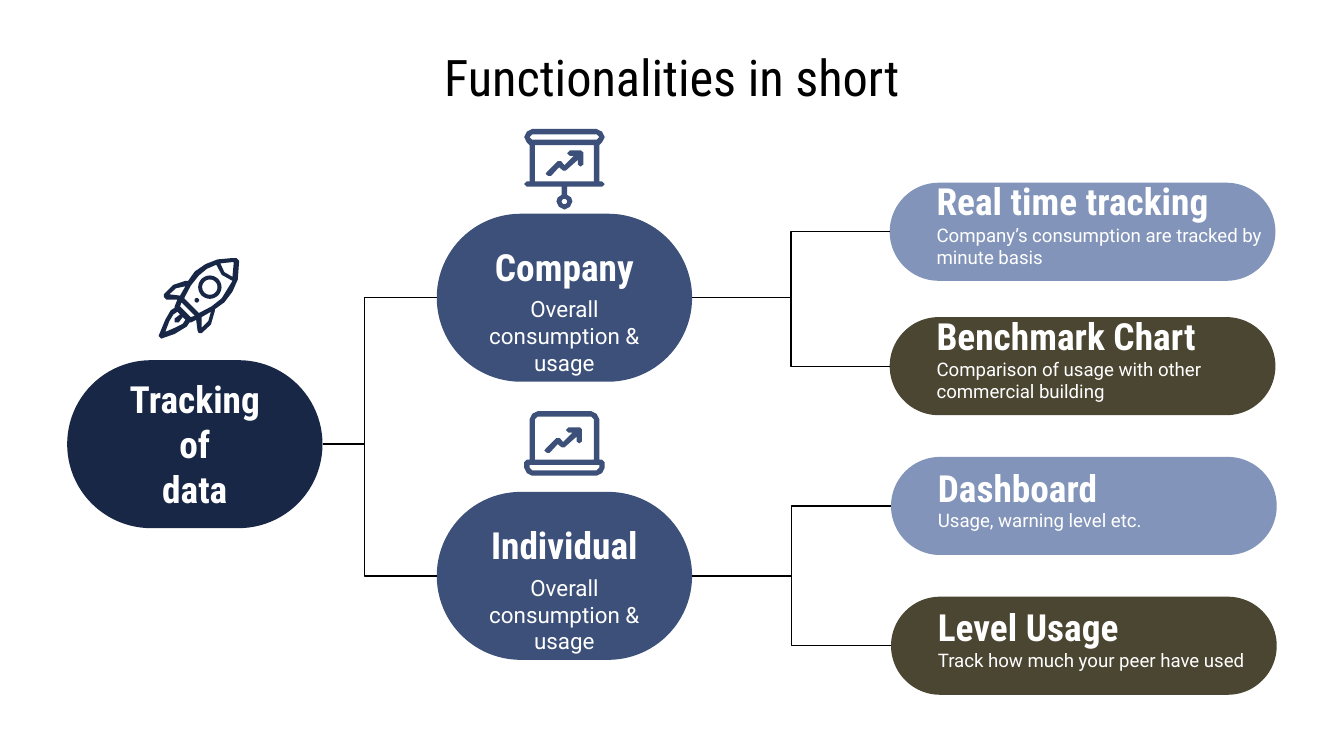
from math import cos, pi, sin

from lxml import etree
from pptx import Presentation
from pptx.dml.color import RGBColor
from pptx.enum.shapes import MSO_CONNECTOR, MSO_SHAPE
from pptx.enum.text import MSO_ANCHOR, MSO_AUTO_SIZE, PP_ALIGN
from pptx.oxml.ns import qn
from pptx.util import Inches, Pt

ELBOW = MSO_CONNECTOR.ELBOW
PILL = MSO_SHAPE.ROUNDED_RECTANGLE
LEFT, CENTER = PP_ALIGN.LEFT, PP_ALIGN.CENTER
LEFT_SIDE, RIGHT_SIDE = 1, 3

COLORS = {"black": "000000", "white": "FFFFFF", "navy": "182746",
          "blue": "3C5079", "sky": "8294B9", "olive": "4B4632"}
FONTS = {
    "title": {"name": "Roboto Condensed", "size": Pt(27), "bold": False},
    "heading": {"name": "Roboto Condensed", "size": Pt(20), "bold": True},
    "summary": {"name": "Roboto", "size": Pt(12), "bold": False},
    "detail": {"name": "Roboto", "size": Pt(10), "bold": False},
}
FRAME = {"word_wrap": True, "auto_size": MSO_AUTO_SIZE.NONE,
         "vertical_anchor": MSO_ANCHOR.MIDDLE,
         "margin_left": Inches(0.1), "margin_right": Inches(0.1),
         "margin_top": Inches(0.1), "margin_bottom": Inches(0.1)}

BRANCH_SIZE = (1.9, 1.25)
LEAF_SIZE = (2.87, 0.73)
BRANCHES = [
    (1.59, "Company", [
        (6.62, 1.36, 0.04, "sky", "Real time tracking",
         "Company’s consumption are tracked by minute basis"),
        (6.62, 2.36, 0.04, "olive", "Benchmark Chart",
         "Comparison of usage with other commercial building")]),
    (3.66, "Individual", [
        (6.63, 3.4, 0.13, "sky", "Dashboard", "Usage, warning level etc."),
        (6.63, 4.44, 0.13, "olive", "Level Usage",
         "Track how much your peer have used")]),
]


def circle(x, y, radius, steps=32):
    """Return the points of a circle."""
    return [(x + radius * cos(2 * pi * i / steps), y + radius * sin(2 * pi * i / steps))
            for i in range(steps)]


ROCKET = [
    [(55, 0), (44, 1), (35, 4.5), (27, 10), (22, 17), (20, 17), (11, 20), (4, 27),
     (4, 29), (6, 31), (14, 31), (12, 36), (12, 37), (9, 39), (5, 46), (0, 58),
     (2, 60), (12, 56.5), (21, 51), (23, 48), (24, 48), (28, 46), (29, 54),
     (30, 56), (32, 56), (39, 49.5), (42, 39), (42, 38), (49, 33), (55, 25),
     (59, 16), (60, 2), (58, 0)],
    [(55, 3), (56, 3), (55, 14), (49, 10.5), (46, 4)],
    [(20, 21), (16, 28), (8, 27), (13, 22.5)],
    [(43, 5), (47, 12.5), (55, 17), (47, 30), (39.5, 36), (30, 41), (19, 30),
     (24, 20.5), (30, 13), (36, 8)],
    [(17, 33), (27, 43), (24, 44), (16, 36)],
    [(39, 40), (37, 47), (32, 52), (32, 44)],
    [(14, 40), (16, 42), (12, 45), (12, 48), (15, 48), (18, 44), (20, 46),
     (18, 49), (12, 52), (5, 55), (8, 47), (11, 42)],
]
WINDOW = [circle(38.2, 21.7, 8.7), circle(38.2, 21.7, 5.7)]
RIVET = [circle(28.5, 31.5, 1.7)]
BOARD = [
    [(6, 0), (2, 2), (0, 6), (2, 10), (4, 12), (4, 39), (2, 39), (0, 41), (2, 43),
     (28, 43), (28, 49), (25, 51), (24, 54), (26, 58), (30, 60), (34, 58), (36, 54),
     (35, 51), (32, 49), (32, 43), (58, 43), (60, 41), (58, 39), (56, 39), (56, 12),
     (58, 10), (60, 6), (58, 2), (54, 0)],
    [(6, 4), (54, 4), (56, 6), (54, 8), (6, 8), (4, 6)],
    [(8, 12), (52, 12), (52, 39), (8, 39)],
    circle(30, 54, 2),
]
LAPTOP = [
    [(10, 0), (6, 2), (4, 6), (4, 36), (2, 36), (0, 38), (0, 42), (2, 46), (6, 48),
     (54, 48), (58, 46), (60, 42), (60, 38), (58, 36), (56, 36), (56, 6), (54, 2),
     (50, 0)],
    [(10, 4), (50, 4), (52, 6), (52, 36), (8, 36), (8, 6)],
    [(4, 40), (56, 40), (56, 42), (54, 44), (6, 44), (4, 42)],
]
TREND = [
    [(18, 0), (16, 2), (18, 4), (21, 4), (14, 11), (11.5, 8), (9, 8), (1, 16),
     (0, 17.5), (2, 19), (4, 19), (10, 12.5), (13, 15), (15, 15), (24, 7),
     (24, 10.5), (26, 12), (28, 10.5), (28, 1.5), (26.5, 0)],
]


def rgb(color):
    """Return the named colour."""
    return RGBColor.from_string(COLORS[color])


def paint(shape, color):
    """Give a shape a flat fill without line or shadow."""
    shape.shadow.inherit = False
    shape.fill.solid()
    shape.fill.fore_color.rgb = rgb(color)
    shape.line.fill.background()


def write(frame, lines, font, color="white", align=LEFT):
    """Fill a text frame with one paragraph for each line."""
    for key, value in FRAME.items():
        setattr(frame, key, value)
    for index, line in enumerate(lines):
        paragraph = frame.add_paragraph() if index else frame.paragraphs[0]
        paragraph.alignment = align
        run = paragraph.add_run()
        run.text = line
        for key, value in FONTS[font].items():
            setattr(run.font, key, value)
        run.font.color.rgb = rgb(color)


def add_text(slide, box, lines, font, align=LEFT):
    """Place a text box."""
    area = slide.shapes.add_textbox(*map(Inches, box))
    write(area.text_frame, lines, font, align=align)


def add_pill(slide, box, color):
    """Place a fully rounded rectangle."""
    pill = slide.shapes.add_shape(PILL, *map(Inches, box))
    pill.adjustments[0] = 0.5
    paint(pill, color)
    return pill


def add_outline(slide, left, top, contours, color):
    """Draw closed contours, given in hundredths of an inch, as one shape."""
    scaled = [[(x * 10, y * 10) for x, y in contour] for contour in contours]
    builder = slide.shapes.build_freeform(*scaled[0][0], scale=Inches(0.001))
    for contour in scaled:
        builder.move_to(*contour[0])
        builder.add_line_segments(contour[1:], close=True)
    paint(builder.convert_to_shape(Inches(left), Inches(top)), color)


def add_link(slide, parent, child, bend=0.5):
    """Join two pills with an elbow that turns at the given share of its width."""
    link = slide.shapes.add_connector(ELBOW, 0, 0, 0, 0)
    link.begin_connect(parent, RIGHT_SIDE)
    link.end_connect(child, LEFT_SIDE)
    link.line.color.rgb = rgb("black")
    link.line.width = Pt(0.75)
    properties = link._element.spPr
    etree.SubElement(properties, qn("a:effectLst"))
    adjustments = properties.find(qn("a:prstGeom")).get_or_add_avLst()
    etree.SubElement(adjustments, qn("a:gd"), name="adj1", fmla=f"val {round(bend * 100000)}")


def add_title(slide, box):
    """Place the title."""
    title = slide.shapes.title
    title.left, title.top, title.width, title.height = map(Inches, box)
    write(title.text_frame, ["Functionalities in short"], "title", "black", CENTER)


def add_root(slide, left, top):
    """Place the root pill with its rocket."""
    root = add_pill(slide, (left, top, *BRANCH_SIZE), "navy")
    add_text(slide, (left + 0.25, top + 0.37, 1.4, 0.5),
             ["Tracking of", "data"], "heading", CENTER)
    for contours in (WINDOW, ROCKET, RIVET):
        add_outline(slide, left + 0.68, top - 0.76, contours, "navy")
    return root


def add_branch(slide, left, top, heading):
    """Place a middle pill with heading and summary."""
    branch = add_pill(slide, (left, top, *BRANCH_SIZE), "blue")
    add_text(slide, (left + 0.25, top + 0.66, 1.4, 0.5),
             ["Overall consumption & usage"], "summary", CENTER)
    add_text(slide, (left + 0.25, top + 0.25, 1.4, 0.28), [heading], "heading", CENTER)
    return branch


def add_leaf(slide, left, top, heading_drop, color, heading, detail):
    """Place an end pill with heading and detail."""
    leaf = add_pill(slide, (left, top, *LEAF_SIZE), color)
    add_text(slide, (left + 0.25, top + 0.34, 2.62, 0.26), [detail], "detail")
    add_text(slide, (left + 0.25, top + heading_drop, 2.37, 0.19), [heading], "heading")
    return leaf


def add_device(slide, left, top, device, trend_left, trend_top):
    """Draw a device with a rising arrow on its screen."""
    add_outline(slide, left, top, device, "blue")
    add_outline(slide, left + trend_left, top + trend_top, TREND, "blue")


def main():
    """Build and save the slide."""
    deck = Presentation()
    deck.slide_width, deck.slide_height = Inches(10), Inches(10 * 9 / 16)
    slide = deck.slides.add_slide(deck.slide_layouts[5])
    add_title(slide, (0.45, 0.29, 9.1, 0.55))
    root = add_root(slide, 0.5, 2.68)
    for top, heading, leaves in BRANCHES:
        branch = add_branch(slide, 3.25, top, heading)
        add_link(slide, root, branch, 0.37)
        for leaf in leaves:
            add_link(slide, branch, add_leaf(slide, *leaf))
    add_device(slide, 3.9, 0.96, BOARD, 0.16, 0.16)
    add_device(slide, 3.9, 3.06, LAPTOP, 0.15, 0.12)
    deck.save("out.pptx")


if __name__ == "__main__":
    main()
